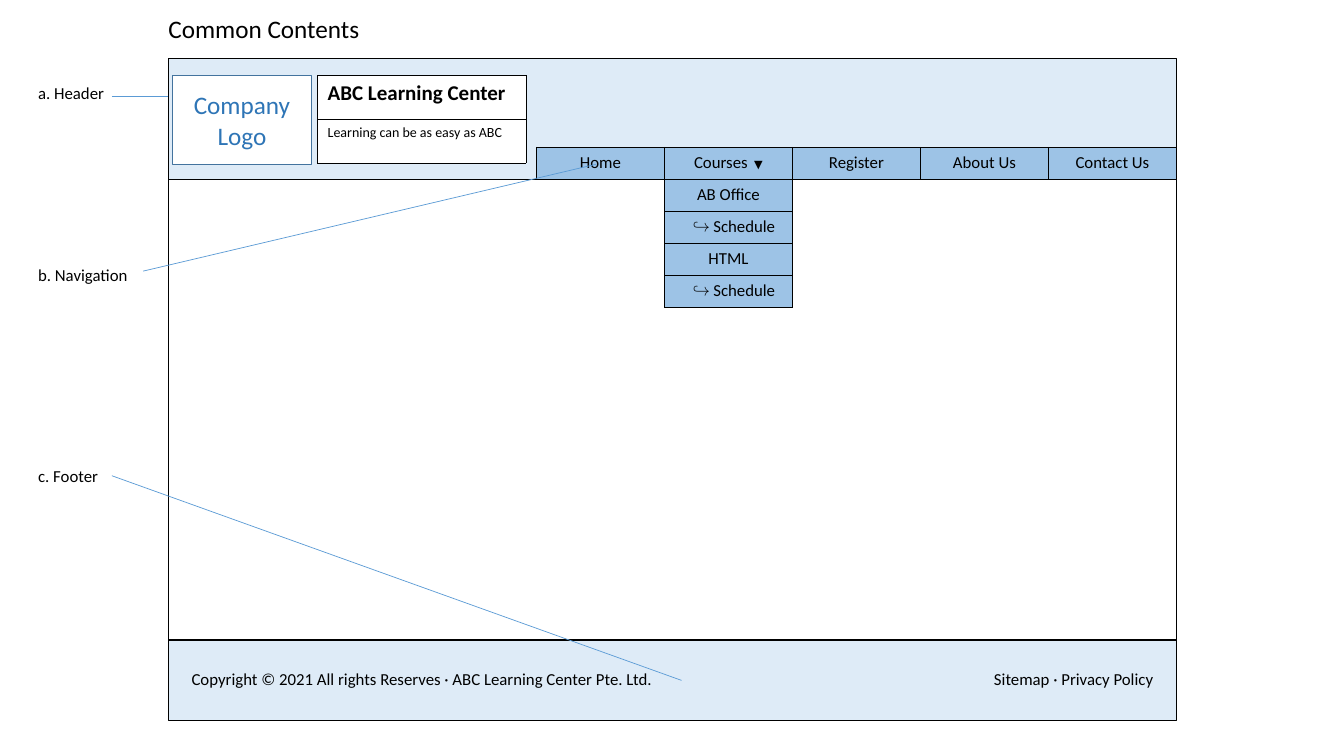
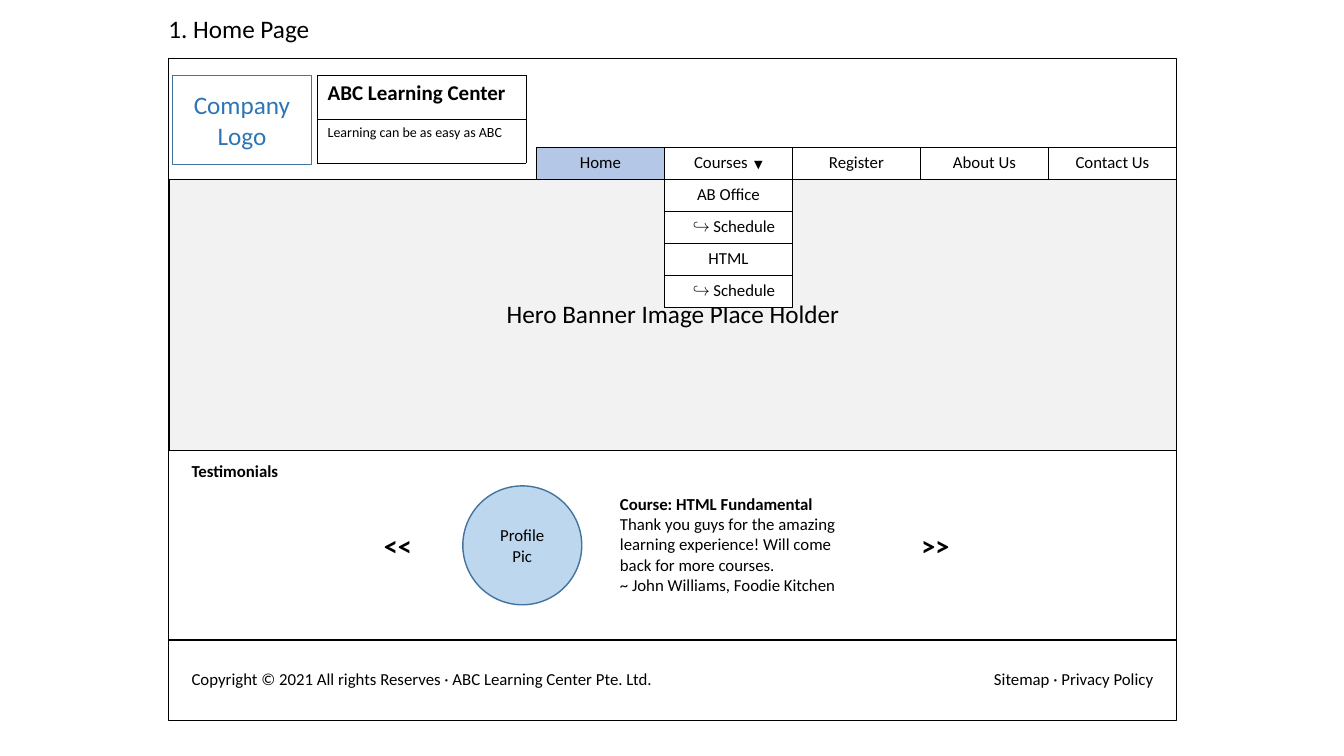
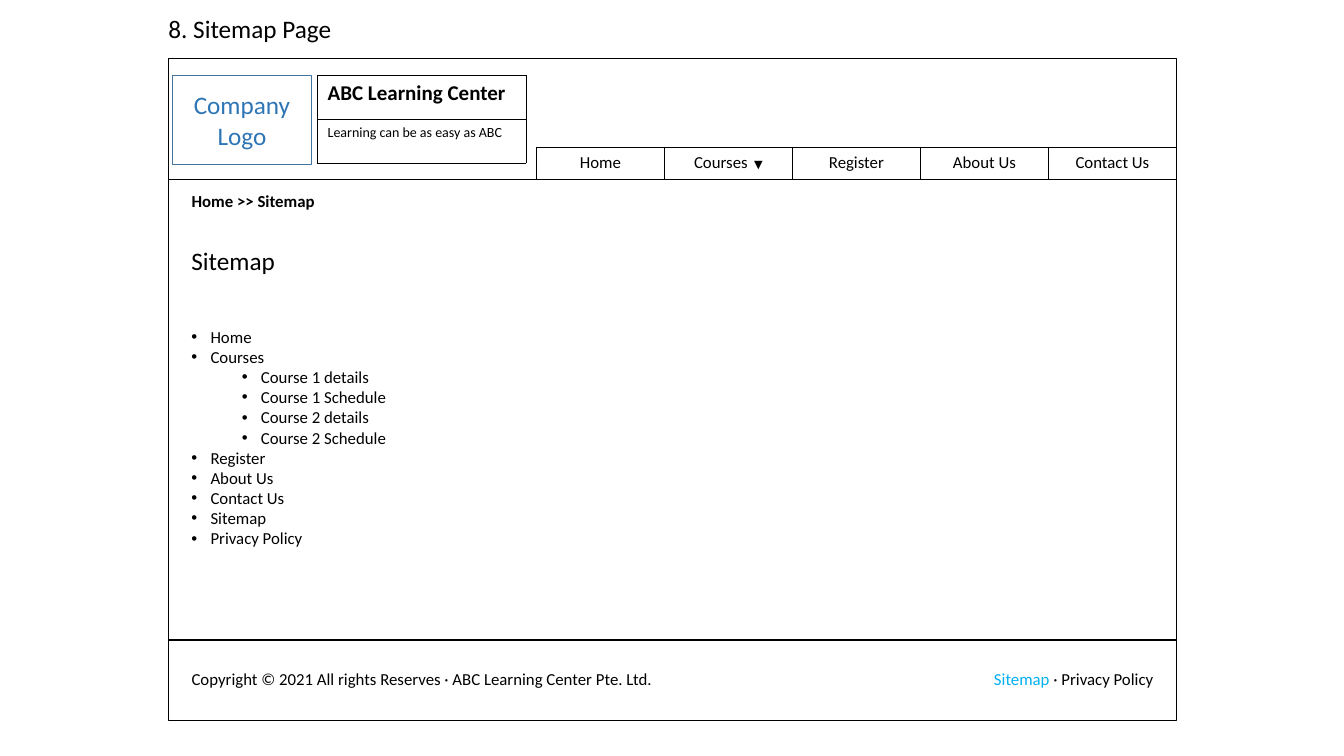
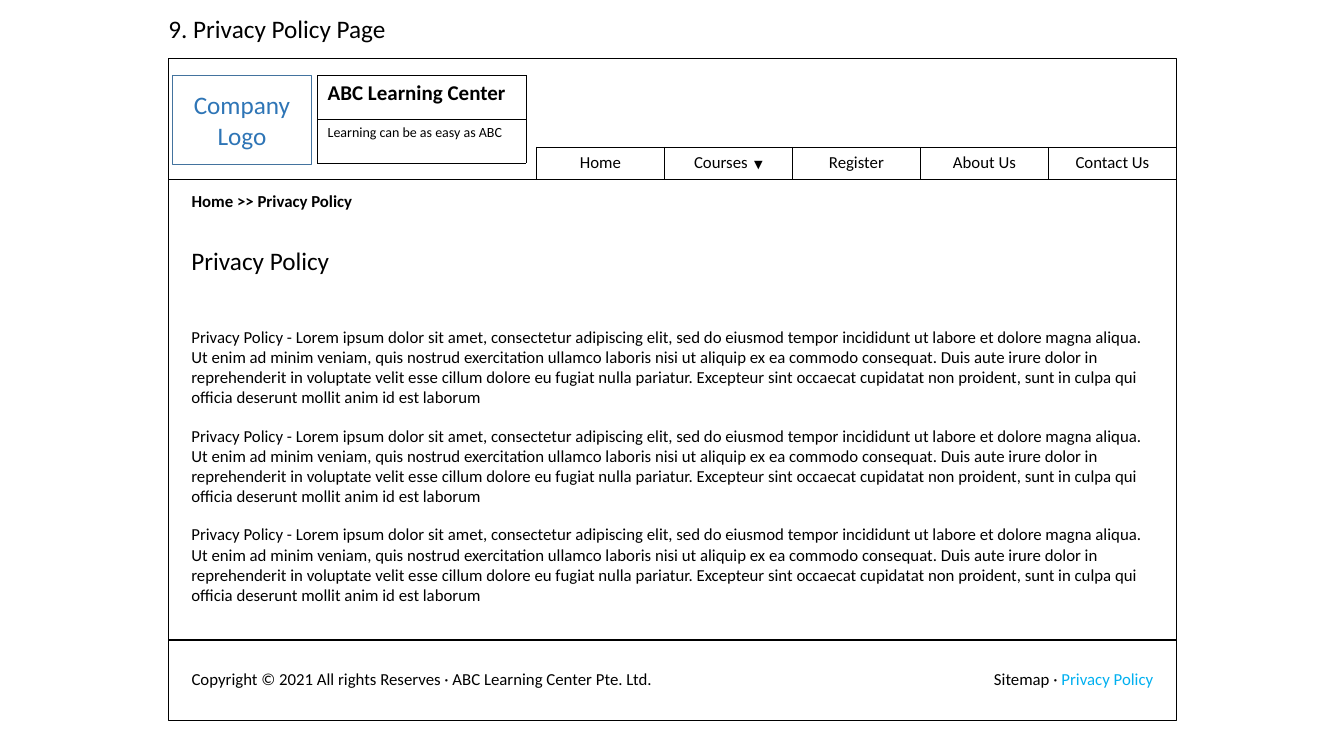
from dataclasses import dataclass
from typing import Optional

from lxml import etree
from pptx import Presentation
from pptx.dml.color import RGBColor
from pptx.enum.shapes import MSO_CONNECTOR, MSO_SHAPE
from pptx.enum.text import MSO_ANCHOR, MSO_AUTO_SIZE, PP_ALIGN
from pptx.oxml.ns import qn
from pptx.util import Pt

LEFT, CENTER, RIGHT = PP_ALIGN.LEFT, PP_ALIGN.CENTER, PP_ALIGN.RIGHT
TOP, MIDDLE = MSO_ANCHOR.TOP, MSO_ANCHOR.MIDDLE
NO_AUTOFIT = MSO_AUTO_SIZE.NONE
RECTANGLE, OVAL = MSO_SHAPE.RECTANGLE, MSO_SHAPE.OVAL
STRAIGHT = MSO_CONNECTOR.STRAIGHT

BLACK = RGBColor(0x00, 0x00, 0x00)
WHITE = RGBColor(0xFF, 0xFF, 0xFF)
BAND_BLUE = RGBColor(0xDE, 0xEB, 0xF7)
MENU_BLUE = RGBColor(0x9D, 0xC3, 0xE6)
ACTIVE_BLUE = RGBColor(0xB4, 0xC7, 0xE7)
PROFILE_BLUE = RGBColor(0xBD, 0xD7, 0xEE)
OUTLINE_BLUE = RGBColor(0x43, 0x73, 0x9E)
LOGO_BLUE = RGBColor(0x2E, 0x75, 0xB6)
CALLOUT_BLUE = RGBColor(0x5B, 0x9B, 0xD5)
LINK_BLUE = RGBColor(0x00, 0xB0, 0xF0)
HERO_GRAY = RGBColor(0xF2, 0xF2, 0xF2)

FONT = "Calibri"
EMU_PER_PX = 9144
TITLE_ONLY = 5
THIN = 0.25


def px(length):
    return length * EMU_PER_PX


@dataclass
class Box:
    left: int
    top: int
    width: int
    height: int

    def inner(self, left, top, width, height):
        return Box(self.left + left, self.top + top, width, height)

    def emu(self):
        return [px(length) for length in (self.left, self.top, self.width, self.height)]


@dataclass
class Run:
    text: str
    size: Optional[int] = None
    bold: Optional[bool] = None
    color: Optional[RGBColor] = None


SLIDE = Box(0, 0, 1333, 750)
TITLE = Box(157, 12, 722, 32)
PAGE = Box(167, 58, 1000, 657)
HEADER = PAGE.inner(0, 0, 1000, 120)
CONTENT = PAGE.inner(0, 120, 1000, 457)
FOOTER = PAGE.inner(0, 577, 1000, 80)
MENU_LEFT, MENU_TOP, MENU_WIDTH, MENU_HEIGHT = 365, 88, 127, 32

MENU = ["Home", ("Courses ", Run(" ▼", size=8)), "Register", "About Us", "Contact Us"]
SCHEDULE = (Run("↪", bold=True), " Schedule")
COURSE_MENU = ["AB Office", SCHEDULE, "HTML", SCHEDULE]
COPYRIGHT = "Copyright © 2021 All rights Reserves · ABC Learning Center Pte. Ltd."
FOOTER_LINKS = ["Sitemap", "Privacy Policy"]
CALLOUTS = [
    ("a. Header", 77, (111, 96), (167, 96)),
    ("b. Navigation", 258, (142, 269), (591, 163)),
    ("c. Footer", 457, (111, 472), (676, 675)),
]
SITEMAP = [
    ("Home", 0), ("Courses", 0),
    ("Course 1 details", 1), ("Course 1 Schedule", 1),
    ("Course 2 details", 1), ("Course 2 Schedule", 1),
    ("Register", 0), ("About Us", 0), ("Contact Us", 0),
    ("Sitemap", 0), ("Privacy Policy", 0),
]
POLICY = (
    "Privacy Policy - Lorem ipsum dolor sit amet, consectetur adipiscing elit, sed do "
    "eiusmod tempor incididunt ut labore et dolore magna aliqua. Ut enim ad minim veniam, "
    "quis nostrud exercitation ullamco laboris nisi ut aliquip ex ea commodo consequat. "
    "Duis aute irure dolor in reprehenderit in voluptate velit esse cillum dolore eu fugiat "
    "nulla pariatur. Excepteur sint occaecat cupidatat non proident, sunt in culpa qui "
    "officia deserunt mollit anim id est laborum"
)


def write_text(frame, *paragraphs, size=12, bold=False, color=BLACK, align=LEFT,
               anchor=TOP, spacing=None):
    frame.vertical_anchor = anchor
    for index, content in enumerate(paragraphs):
        paragraph = frame.paragraphs[0] if index == 0 else frame.add_paragraph()
        paragraph.alignment = align
        paragraph.line_spacing = spacing
        for part in content if isinstance(content, tuple) else (content,):
            part = part if isinstance(part, Run) else Run(part)
            run = paragraph.add_run()
            run.text = part.text
            run.font.name = FONT
            run.font.size = Pt(part.size or size)
            run.font.bold = bold if part.bold is None else part.bold
            run.font.color.rgb = part.color or color


def add_text(shapes, box, *paragraphs, wrap=True, **text_format):
    frame = shapes.add_textbox(*box.emu()).text_frame
    frame.word_wrap = wrap
    write_text(frame, *paragraphs, **text_format)
    return frame


def add_panel(shapes, box, fill, line=BLACK, kind=RECTANGLE):
    shape = shapes.add_shape(kind, *box.emu())
    shape.shadow.inherit = False
    shape.fill.solid()
    shape.fill.fore_color.rgb = fill
    shape.line.color.rgb = line
    shape.line.width = Pt(1)
    return shape


def set_borders(cell, width):
    properties = cell._tc.get_or_add_tcPr()
    for index, side in enumerate(("lnL", "lnR", "lnT", "lnB")):
        line = etree.Element(qn(f"a:{side}"), w=str(Pt(width or 0)))
        if width:
            fill = etree.SubElement(line, qn("a:solidFill"))
            etree.SubElement(fill, qn("a:srgbClr"), val=str(BLACK))
        else:
            etree.SubElement(line, qn("a:noFill"))
        properties.insert(index, line)


def add_grid(slide, box, rows, columns, fill=None, border=None):
    table = slide.shapes.add_table(rows, columns, *box.emu()).table
    table.first_row = False
    table.horz_banding = False
    for column in table.columns:
        column.width = px(box.width) // columns
    for row in table.rows:
        row.height = px(box.height) // rows
    for cell in table.iter_cells():
        if fill is None:
            cell.fill.background()
        else:
            cell.fill.solid()
            cell.fill.fore_color.rgb = fill
        set_borders(cell, border)
    return table


def add_title(slide, text):
    title = slide.shapes.title
    title.left, title.top, title.width, title.height = TITLE.emu()
    title.text_frame.auto_size = NO_AUTOFIT
    write_text(title.text_frame, text, size=18, spacing=0.9)


def add_header(slide, box, band, menu_fill, active=None):
    add_panel(slide.shapes, box, band)
    logo = add_panel(slide.shapes, box.inner(4, 17, 138, 88), WHITE, OUTLINE_BLUE)
    write_text(logo.text_frame, "Company Logo", size=18, color=LOGO_BLUE,
               align=CENTER, anchor=MIDDLE)

    name = add_grid(slide, box.inner(148, 17, 207, 87), 2, 1, WHITE, THIN)
    write_text(name.cell(0, 0).text_frame, "ABC Learning Center", size=15, bold=True)
    write_text(name.cell(1, 0).text_frame, "Learning can be as easy as ABC", size=10)

    menu_box = box.inner(MENU_LEFT, MENU_TOP, MENU_WIDTH * len(MENU), MENU_HEIGHT)
    menu = add_grid(slide, menu_box, 1, len(MENU), menu_fill, THIN)
    for cell, item in zip(menu.iter_cells(), MENU):
        write_text(cell.text_frame, item, align=CENTER)
        if item == active:
            cell.fill.fore_color.rgb = ACTIVE_BLUE


def add_course_menu(slide, header, fill):
    box = header.inner(MENU_LEFT + MENU_WIDTH, MENU_TOP + MENU_HEIGHT, MENU_WIDTH, 127)
    menu = add_grid(slide, box, len(COURSE_MENU), 1, fill, THIN)
    for cell, item in zip(menu.iter_cells(), COURSE_MENU):
        if item is SCHEDULE:
            cell.margin_left = px(21)
        write_text(cell.text_frame, item, align=CENTER)


def add_split_row(slide, box, left_text, right_text, fill=None, bold=False):
    table = add_grid(slide, box, 1, 2, fill)
    write_text(table.cell(0, 0).text_frame, left_text, bold=bold)
    write_text(table.cell(0, 1).text_frame, right_text, align=RIGHT)


def add_footer(slide, box, band, active=None):
    add_panel(slide.shapes, box, band)
    first, second = [Run(link, color=LINK_BLUE if link == active else BLACK)
                     for link in FOOTER_LINKS]
    add_split_row(slide, box.inner(13, 24, 974, 36), COPYRIGHT, (first, " · ", second))


def add_page(presentation, title, band=WHITE, menu_fill=WHITE, active=None):
    slide = presentation.slides.add_slide(presentation.slide_layouts[TITLE_ONLY])
    add_title(slide, title)
    add_panel(slide.shapes, PAGE.inner(0, 38, 1000, 600), WHITE)
    add_footer(slide, FOOTER, band, active)
    add_header(slide, HEADER, band, menu_fill, active)
    return slide


def add_section_label(slide, box, text):
    add_split_row(slide, box, text, "", WHITE, bold=True)


def add_callouts(slide):
    for label, top, start, end in CALLOUTS:
        add_text(slide.shapes, SLIDE.inner(28, top, 114, 30), label)
        connector = slide.shapes.add_connector(
            STRAIGHT, *[px(length) for length in start + end])
        connector.line.color.rgb = CALLOUT_BLUE
        connector.line.width = Pt(0.5)
        etree.SubElement(connector._element.spPr, qn("a:effectLst"))


def add_hero(slide, box):
    cell = add_grid(slide, box, 1, 1, HERO_GRAY, 1).cell(0, 0)
    write_text(cell.text_frame, "Hero Banner Image Place Holder", size=18, align=CENTER)
    cell.vertical_anchor = MIDDLE


def add_testimonials(slide, box):
    add_section_label(slide, box.inner(13, 6, 974, 36), "Testimonials")
    shapes = slide.shapes.add_group_shape().shapes
    profile = add_panel(shapes, box.inner(292, 35, 118, 118), PROFILE_BLUE,
                        OUTLINE_BLUE, OVAL)
    write_text(profile.text_frame, "Profile", "Pic", align=CENTER, anchor=MIDDLE)
    add_text(
        shapes, box.inner(438, 38, 241, 111),
        Run("Course: HTML Fundamental", bold=True),
        "Thank you guys for the amazing learning experience! Will come back for more courses.",
        "~ John Williams, Foodie Kitchen",
    )
    for left, arrow in ((204, "<<"), (737, ">>")):
        add_text(shapes, box.inner(left, 72, 58, 44), arrow, size=20, bold=True)


def add_content_heading(slide, box, name):
    add_section_label(slide, box.inner(13, 7, 974, 36), f"Home >> {name}")
    add_text(slide.shapes, box.inner(13, 60, 158, 40), name, size=18, wrap=False)


def add_sitemap(slide, box):
    frame = add_text(slide.shapes, box, *[text for text, level in SITEMAP])
    for paragraph, (text, level) in zip(frame.paragraphs, SITEMAP):
        paragraph.level = level
        properties = paragraph._p.get_or_add_pPr()
        properties.set("marL", str(px(19 + 50 * level)))
        properties.set("indent", str(px(-19)))
        etree.SubElement(properties, qn("a:buFont"), typeface="Arial")
        etree.SubElement(properties, qn("a:buChar"), char="•")


def add_policy(slide, box):
    for index in range(3):
        add_text(slide.shapes, box.inner(0, 98 * index, box.width, 91), POLICY)


def main():
    presentation = Presentation()
    presentation.slide_width, presentation.slide_height = px(SLIDE.width), px(SLIDE.height)

    common = add_page(presentation, "Common Contents", BAND_BLUE, MENU_BLUE)
    add_course_menu(common, HEADER, MENU_BLUE)
    add_callouts(common)

    home = add_page(presentation, "1. Home Page", active="Home")
    add_hero(home, CONTENT.inner(1, 0, 999, 269))
    add_testimonials(home, CONTENT.inner(0, 269, 1000, 188))
    add_course_menu(home, HEADER, WHITE)

    body = CONTENT.inner(13, 141, 967, 232)
    for number, name, add_body in ((8, "Sitemap", add_sitemap),
                                   (9, "Privacy Policy", add_policy)):
        slide = add_page(presentation, f"{number}. {name} Page", active=name)
        add_content_heading(slide, CONTENT, name)
        add_body(slide, body)

    presentation.save("out.pptx")


if __name__ == "__main__":
    main()
